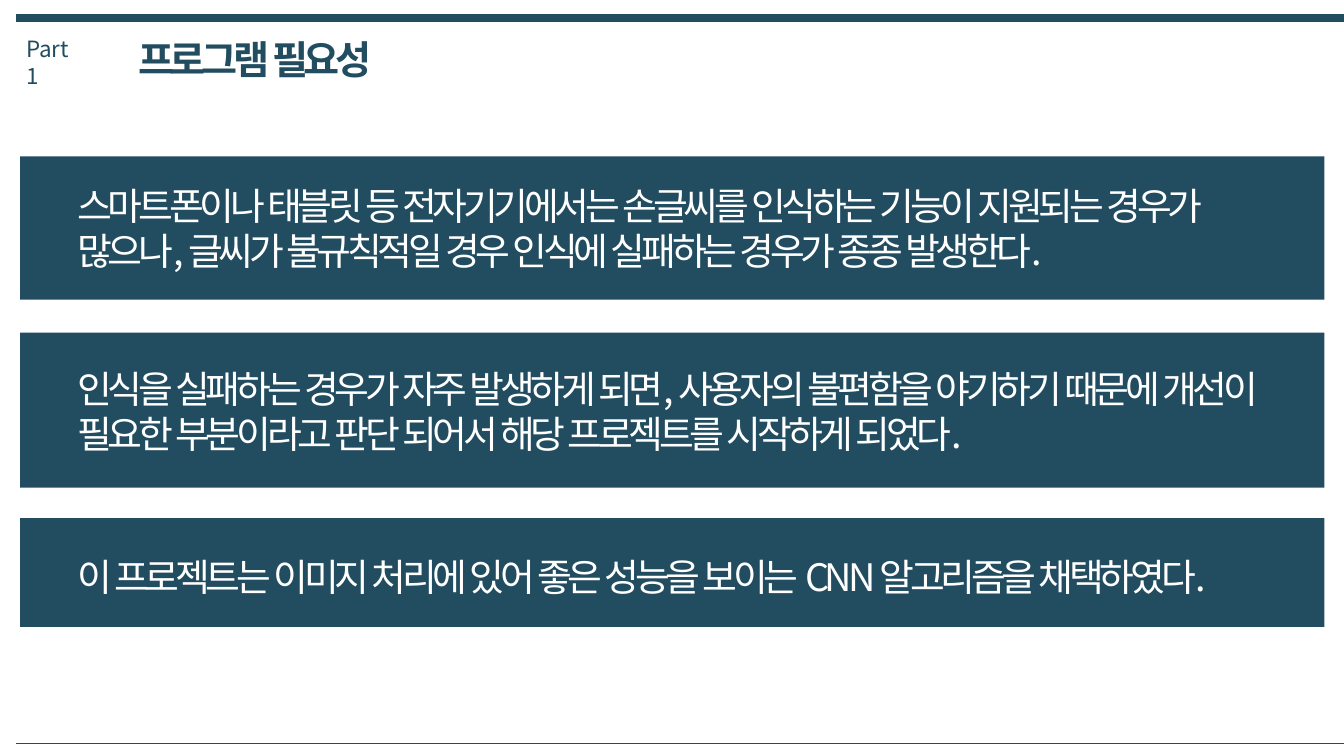
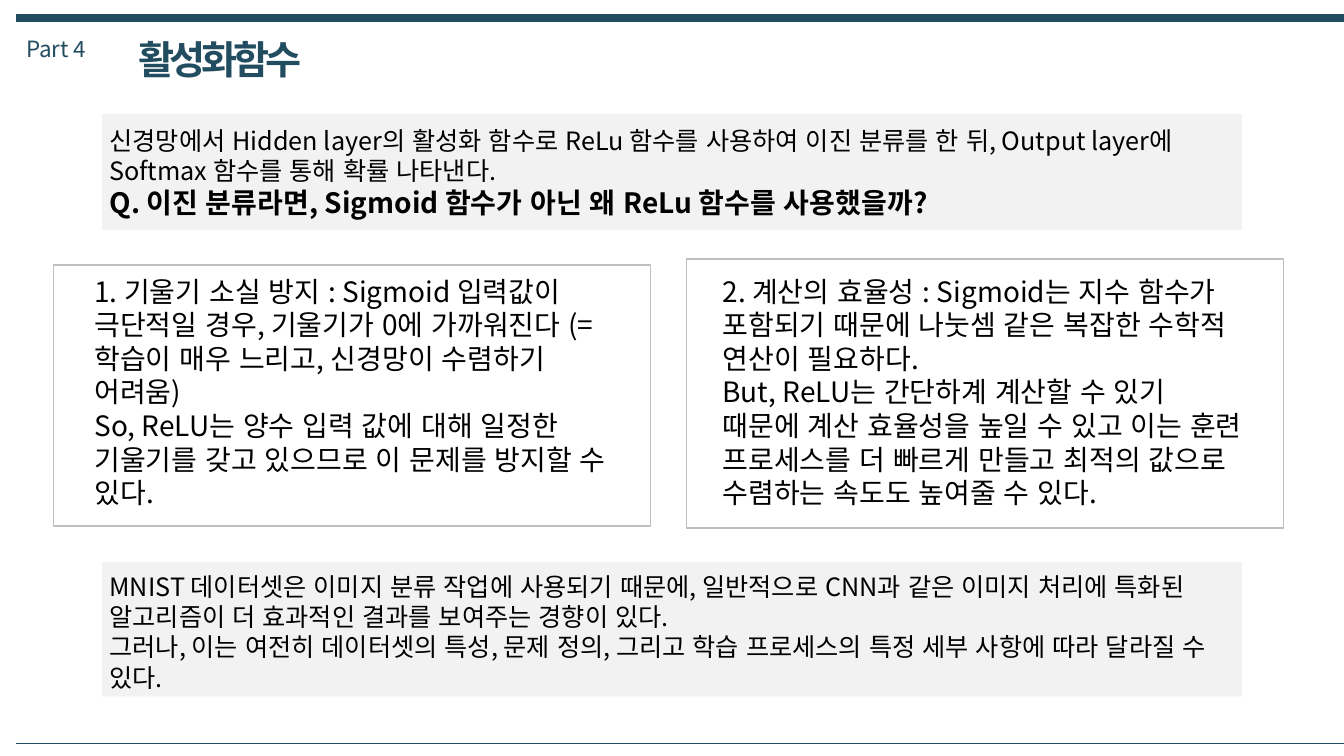
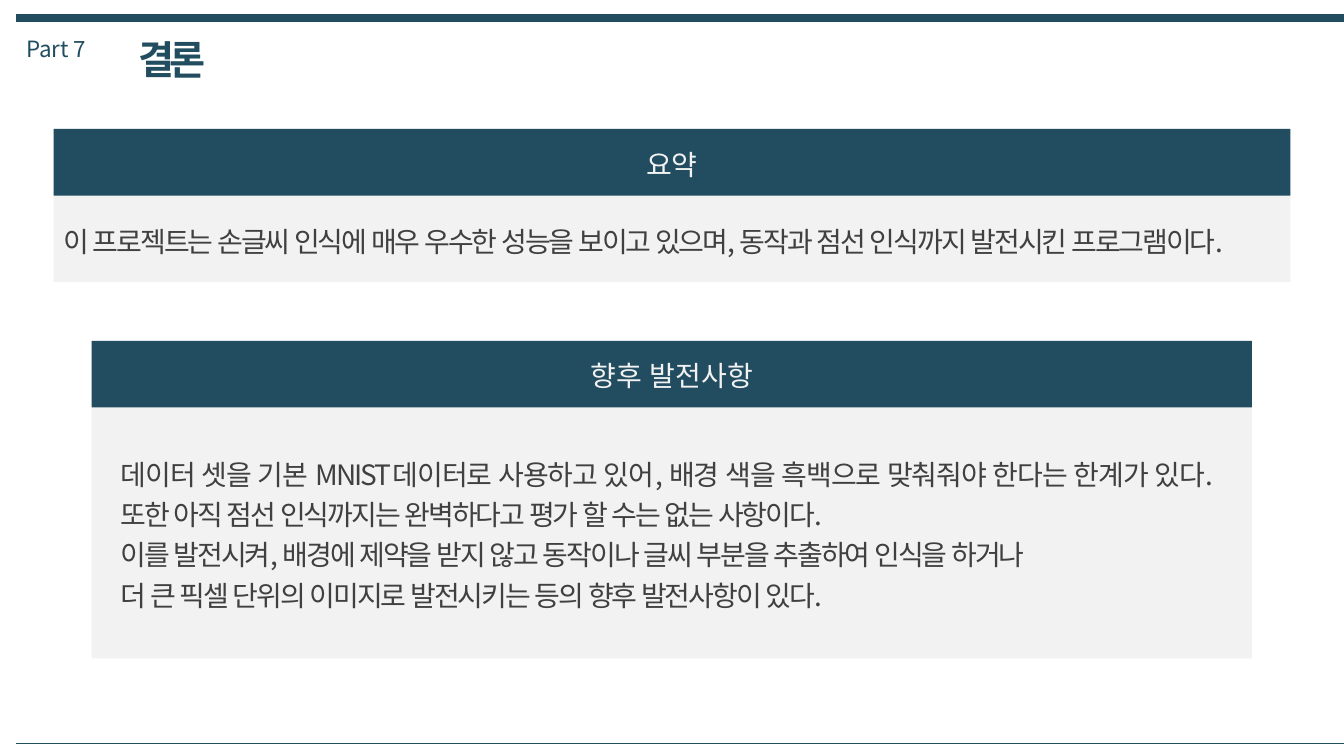
from dataclasses import dataclass
from typing import NamedTuple, Optional

from lxml.etree import SubElement
from pptx import Presentation
from pptx.dml.color import RGBColor
from pptx.enum.lang import MSO_LANGUAGE_ID as Language
from pptx.enum.shapes import MSO_CONNECTOR as Connector, MSO_SHAPE as Shape
from pptx.enum.text import MSO_AUTO_SIZE as AutoSize, PP_ALIGN as Align
from pptx.oxml.ns import qn
from pptx.slide import Slide
from pptx.util import Cm, Pt


@dataclass(frozen=True)
class Theme:
    font: str = "Noto Sans CJK KR"
    navy: RGBColor = RGBColor(0x22, 0x4D, 0x60)
    white: RGBColor = RGBColor(0xFF, 0xFF, 0xFF)
    black: RGBColor = RGBColor(0x00, 0x00, 0x00)
    charcoal: RGBColor = RGBColor(0x40, 0x40, 0x40)
    silver: RGBColor = RGBColor(0xBF, 0xBF, 0xBF)
    mist: RGBColor = RGBColor(0xF2, 0xF2, 0xF2)
    title: float = 28
    statement: float = 27
    body: float = 20
    note: float = 18
    chapter: float = 16
    tight: float = -3
    snug: float = -1.5


class Box(NamedTuple):
    """Left, top, width and height in centimetres."""
    left: float
    top: float
    width: float
    height: float


@dataclass(frozen=True)
class Panel:
    """A filled rectangle and the text laid over it."""
    frame: Box
    text_box: Box
    text: str
    heading: str = ""
    emphasize_last: bool = False


THEME = Theme()
SLIDE_WIDTH, SLIDE_HEIGHT = 33.87, 19.05
MARGIN = 0.41
HEADING_HEIGHT, HEADING_TEXT_WIDTH = 1.68, 11


def add_text(slide: Slide, text: str, box: Box, *, size: float,
             color: RGBColor, bold: bool = False, spacing: float = 0,
             align: Align = Align.LEFT, line_spacing: Optional[float] = None,
             wrap: bool = True, emphasize_last: bool = False) -> None:
    """Add a text box with one paragraph per line of text."""
    frame = slide.shapes.add_textbox(*map(Cm, box)).text_frame
    frame.word_wrap = wrap
    frame.auto_size = AutoSize.SHAPE_TO_FIT_TEXT
    lines = text.split("\n")
    for index, line in enumerate(lines):
        paragraph = frame.paragraphs[0] if index == 0 else frame.add_paragraph()
        paragraph.alignment = align
        if line_spacing:
            paragraph.line_spacing = line_spacing
        emphasized = emphasize_last and index == len(lines) - 1
        run = paragraph.add_run()
        run.text = line
        font = run.font
        font.name = THEME.font
        font.size = Pt(THEME.body if emphasized else size)
        font.bold = bold or emphasized
        font.color.rgb = color
        font.language_id = Language.KOREAN
        properties = run._r.get_or_add_rPr()
        SubElement(properties, qn("a:ea")).set("typeface", THEME.font)
        if spacing:
            properties.set("spc", str(round(spacing * 100)))


def add_rectangle(slide: Slide, box: Box, fill: RGBColor,
                  outline: Optional[RGBColor] = None) -> None:
    rectangle = slide.shapes.add_shape(Shape.RECTANGLE, *map(Cm, box))
    rectangle.shadow.inherit = False
    rectangle.fill.solid()
    rectangle.fill.fore_color.rgb = fill
    if outline is None:
        rectangle.line.fill.background()
    else:
        rectangle.line.color.rgb = outline
        rectangle.line.width = Pt(1)


def add_rule(slide: Slide, y: float, weight: float) -> None:
    rule = slide.shapes.add_connector(
        Connector.STRAIGHT, Cm(MARGIN), Cm(y), Cm(SLIDE_WIDTH), Cm(y))
    rule.line.color.rgb = THEME.navy
    rule.line.width = Pt(weight)
    SubElement(rule._element.spPr, qn("a:effectLst"))


def add_base(deck, chapter: str, title: str, chapter_width: float,
             title_width: float) -> Slide:
    """Add a blank slide with the rules, chapter label and title."""
    slide = deck.slides.add_slide(deck.slide_layouts[6])
    add_rule(slide, 0.46, 6)
    add_rule(slide, 18.72, 0.25)
    add_text(slide, chapter, Box(MARGIN, 0.76, chapter_width, 0.94),
             size=THEME.chapter, color=THEME.navy)
    add_text(slide, title, Box(3.23, 0.76, title_width, 1.45),
             size=THEME.title, color=THEME.navy, bold=True,
             spacing=THEME.tight, wrap=False)
    return slide


def build_need(deck) -> None:
    slide = add_base(deck, "Part 1", "프로그램 필요성", 1.96, 6.73)
    left, width, text_left, text_width = 0.51, 32.87, 1.7, 30.48
    statements = [
        Panel(Box(left, 3.94, width, 3.61), Box(text_left, 4.47, text_width, 2.51),
              "스마트폰이나 태블릿 등 전자기기에서는 손글씨를 인식하는 기능이 지원되는 경우가 "
              "많으나, 글씨가 불규칙적일 경우 인식에 실패하는 경우가 종종 발생한다."),
        Panel(Box(left, 8.38, width, 3.91), Box(text_left, 9.09, text_width, 2.54),
              "인식을 실패하는 경우가 자주 발생하게 되면, 사용자의 불편함을 야기하기 때문에 "
              "개선이 필요한 부분이라고 판단 되어서 해당 프로젝트를 시작하게 되었다."),
        Panel(Box(left, 13.06, width, 2.74), Box(text_left, 13.84, text_width, 1.37),
              "이 프로젝트는 이미지 처리에 있어 좋은 성능을 보이는 CNN 알고리즘을 채택하였다."),
    ]
    for statement in statements:
        add_rectangle(slide, statement.frame, THEME.navy)
        add_text(slide, statement.text, statement.text_box,
                 size=THEME.statement, color=THEME.white, spacing=THEME.tight)


def build_activation(deck) -> None:
    slide = add_base(deck, "Part 4", "활성화함수", 2.06, 4.85)
    reasons = [
        Panel(Box(1.35, 6.68, 15.04, 6.58), Box(2.13, 6.78, 13.59, 6.17),
              "1. 기울기 소실 방지 : Sigmoid 입력값이 극단적일 경우, 기울기가 0에 가까워진다 "
              "(= 학습이 매우 느리고, 신경망이 수렴하기 어려움)\n"
              "So, ReLU는 양수 입력 값에 대해 일정한 기울기를 갖고 있으므로 "
              "이 문제를 방지할 수 있다."),
        Panel(Box(17.3, 6.53, 15.04, 6.78), Box(17.96, 6.78, 13.77, 6.17),
              "2. 계산의 효율성 : Sigmoid는 지수 함수가 포함되기 때문에 나눗셈 같은 "
              "복잡한 수학적 연산이 필요하다.\n"
              "But, ReLU는 간단하계 계산할 수 있기 때문에 계산 효율성을 높일 수 있고 "
              "이는 훈련 프로세스를 더 빠르게 만들고 최적의 값으로 수렴하는 속도도 "
              "높여줄 수 있다."),
    ]
    notes = [
        Panel(Box(2.57, 14.17, 28.73, 3.38), Box(2.51, 14.27, 28.85, 3.28),
              "MNIST 데이터셋은 이미지 분류 작업에 사용되기 때문에, 일반적으로 CNN과 같은 "
              "이미지 처리에 특화된 알고리즘이 더 효과적인 결과를 보여주는 경향이 있다.\n"
              "그러나, 이는 여전히 데이터셋의 특성, 문제 정의, 그리고 학습 프로세스의 "
              "특정 세부 사항에 따라 달라질 수 있다."),
        Panel(Box(2.57, 2.87, 28.73, 2.92), Box(2.51, 3.02, 28.85, 2.62),
              "신경망에서 Hidden layer의 활성화 함수로 ReLu 함수를 사용하여 이진 분류를 "
              "한 뒤, Output layer에 Softmax 함수를 통해 확률 나타낸다.\n"
              "Q. 이진 분류라면, Sigmoid 함수가 아닌 왜 ReLu 함수를 사용했을까?",
              emphasize_last=True),
    ]
    for reason in reasons:
        add_rectangle(slide, reason.frame, THEME.white, THEME.silver)
        add_text(slide, reason.text, reason.text_box,
                 size=THEME.body, color=THEME.black)
    for note in notes:
        add_rectangle(slide, note.frame, THEME.mist)
        add_text(slide, note.text, note.text_box, size=THEME.note,
                 color=THEME.black, emphasize_last=note.emphasize_last)


def build_conclusion(deck) -> None:
    slide = add_base(deck, "Part 7", "결론", 2.11, 2.29)
    sections = [
        Panel(Box(1.35, 3.25, 31.17, 3.86), Box(1.35, 5.36, 31.29, 1.24),
              "이 프로젝트는 손글씨 인식에 매우 우수한 성능을 보이고 있으며, "
              "동작과 점선 인식까지 발전시킨 프로그램이다.",
              heading="요약"),
        Panel(Box(2.31, 8.59, 29.24, 8), Box(2.79, 11.23, 27.99, 4.32),
              "데이터 셋을 기본 MNIST데이터로 사용하고 있어, 배경 색을 흑백으로 맞춰줘야 "
              "한다는 한계가 있다. 또한 아직 점선 인식까지는 완벽하다고 평가 할 수는 "
              "없는 사항이다.\n"
              "이를 발전시켜, 배경에 제약을 받지 않고 동작이나 글씨 부분을 추출하여 "
              "인식을 하거나\n"
              "더 큰 픽셀 단위의 이미지로 발전시키는 등의 향후 발전사항이 있다.",
              heading="향후 발전사항"),
    ]
    for section in sections:
        frame = section.frame
        heading_left = frame.left + (frame.width - HEADING_TEXT_WIDTH) / 2
        add_rectangle(slide, frame, THEME.mist)
        add_rectangle(slide, frame._replace(height=HEADING_HEIGHT), THEME.navy)
        add_text(slide, section.heading,
                 Box(heading_left, frame.top + 0.33, HEADING_TEXT_WIDTH, 1.08),
                 size=THEME.body, color=THEME.mist, align=Align.CENTER)
        add_text(slide, section.text, section.text_box, size=THEME.body,
                 color=THEME.charcoal, spacing=THEME.snug,
                 align=Align.JUSTIFY, line_spacing=1.2)


def main() -> None:
    deck = Presentation()
    deck.slide_width, deck.slide_height = Cm(SLIDE_WIDTH), Cm(SLIDE_HEIGHT)
    build_need(deck)
    build_activation(deck)
    build_conclusion(deck)
    deck.save("out.pptx")


if __name__ == "__main__":
    main()
